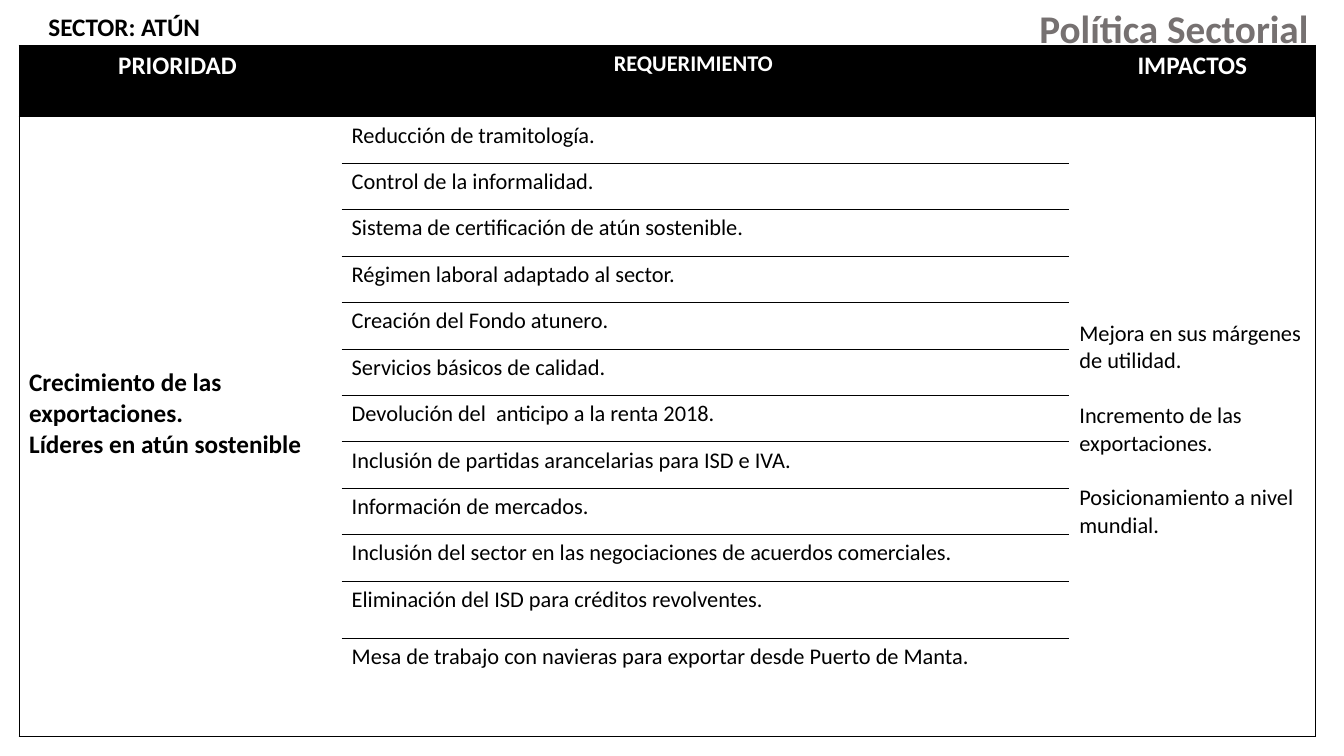
from lxml import etree
from pptx import Presentation
from pptx import util as u
from pptx.dml.color import RGBColor
from pptx.enum import text
from pptx.oxml import ns

Cm, Pt = u.Cm, u.Pt
HUES = {"ink": "000000", "paper": "FFFFFF", "gray": "767171"}
LEFT, MID, RIGHT = text.PP_ALIGN.LEFT, text.PP_ALIGN.CENTER, text.PP_ALIGN.RIGHT
WIDTHS = [8.13, 17.73, 0.58, 6.2]
HEIGHTS = [1.8] + [1.17] * 10 + [1.45, 2.46]
LAST = len(HEIGHTS) - 1
HEADS = {0: ("PRIORIDAD ", 18), 1: ("REQUERIMIENTO", 16), 3: ("IMPACTOS", 18)}
NEEDS = [
    "Reducción de tramitología.",
    "Control de la informalidad.",
    "Sistema de certificación de atún sostenible.",
    "Régimen laboral adaptado al sector.",
    "Creación del Fondo atunero.",
    "Servicios básicos de calidad.",
    "Devolución del  anticipo a la renta 2018.",
    "Inclusión de partidas arancelarias para ISD e IVA.",
    "Información de mercados.",
    "Inclusión del sector en las negociaciones de acuerdos comerciales.",
    "Eliminación del ISD para créditos revolventes.",
    "Mesa de trabajo con navieras para exportar desde Puerto de Manta.",
]
GOALS = ["Crecimiento de las exportaciones.", "Líderes en atún sostenible"]
GAINS = ["Mejora en sus márgenes de utilidad.", "Incremento de las exportaciones.",
         "Posicionamiento a nivel mundial."]


class Deck:
    def __init__(self, font):
        self.font = font
        self.prs = Presentation()
        self.prs.slide_width, self.prs.slide_height = Cm(33.87), Cm(19.05)
        self.slide = self.prs.slides.add_slide(self.prs.slide_layouts[5])

    def words(self, frame, lines, size, hue="ink", bold=True, align=LEFT, gap=0):
        for i, line in enumerate(lines):
            para = frame.paragraphs[0] if i == 0 else frame.add_paragraph()
            para.alignment = align
            if i:
                para.space_before = Pt(gap)
            run = para.add_run()
            run.text = line
            look = {"name": self.font, "size": Pt(size), "bold": bold}
            for key, value in look.items():
                setattr(run.font, key, value)
            run.font.color.rgb = RGBColor.from_string(HUES[hue])

    def label(self, shape, line, size, **style):
        look = {"word_wrap": True, "auto_size": text.MSO_AUTO_SIZE.NONE,
                "vertical_anchor": text.MSO_ANCHOR.TOP}
        for key, value in look.items():
            setattr(shape.text_frame, key, value)
        self.words(shape.text_frame, [line], size, **style)

    def title(self, line, box, size, **style):
        shape = self.slide.shapes.title
        for key, value in zip(("left", "top", "width", "height"), box):
            setattr(shape, key, Cm(value))
        self.label(shape, line, size, **style)

    def note(self, line, box, size, **style):
        shape = self.slide.shapes.add_textbox(*map(Cm, box))
        self.label(shape, line, size, **style)

    def edge(self, cell, sides):
        props = cell._tc.get_or_add_tcPr()
        for i, (side, shown) in enumerate(sides.items()):
            line = etree.Element(ns.qn("a:ln" + side), w=str(Pt(0.5)))
            if shown:
                fill = etree.SubElement(line, ns.qn("a:solidFill"))
                etree.SubElement(fill, ns.qn("a:srgbClr"), val=HUES["ink"])
            else:
                etree.SubElement(line, ns.qn("a:noFill"))
            props.insert(i, line)

    def table(self, left, top):
        grid = self.slide.shapes.add_table(
            len(HEIGHTS), len(WIDTHS), Cm(left), Cm(top),
            Cm(sum(WIDTHS)), Cm(sum(HEIGHTS))).table
        grid.first_row = grid.horz_banding = False
        for col, width in zip(grid.columns, WIDTHS):
            col.width = Cm(width)
        for row, height in zip(grid.rows, HEIGHTS):
            row.height = Cm(height)
        for c in (0, 3):
            grid.cell(1, c).merge(grid.cell(LAST, c))
        for r in range(len(HEIGHTS)):
            for c in range(len(WIDTHS)):
                cell = grid.cell(r, c)
                cell.fill.solid()
                hue = "paper" if r else "ink"
                cell.fill.fore_color.rgb = RGBColor.from_string(HUES[hue])
                ruled = c in (1, 2)
                self.edge(cell, {"L": c == 0, "R": c == 3,
                                 "T": ruled or r < 2,
                                 "B": ruled or r in (0, 1, LAST)})
        return grid


deck = Deck("Calibri")
deck.title("Política Sectorial ", (22.5, -0.02, 10.95, 1.45), 28, hue="gray", align=RIGHT)
deck.note("SECTOR: ATÚN", (0.97, 0.15, 7.65, 1.02), 18)
grid = deck.table(0.48, 1.14)
for c, (head, size) in HEADS.items():
    deck.words(grid.cell(0, c).text_frame, [head], size, hue="paper", align=MID)
for r, need in enumerate(NEEDS, 1):
    deck.words(grid.cell(r, 1).text_frame, [need], 16, bold=False)
goal, gain = grid.cell(1, 0), grid.cell(1, 3)
goal.margin_top, gain.margin_top = Cm(6.33), Cm(5.13)
deck.words(goal.text_frame, GOALS, 18)
deck.words(gain.text_frame, GAINS, 16, bold=False, gap=19.5)
deck.prs.save("out.pptx")
